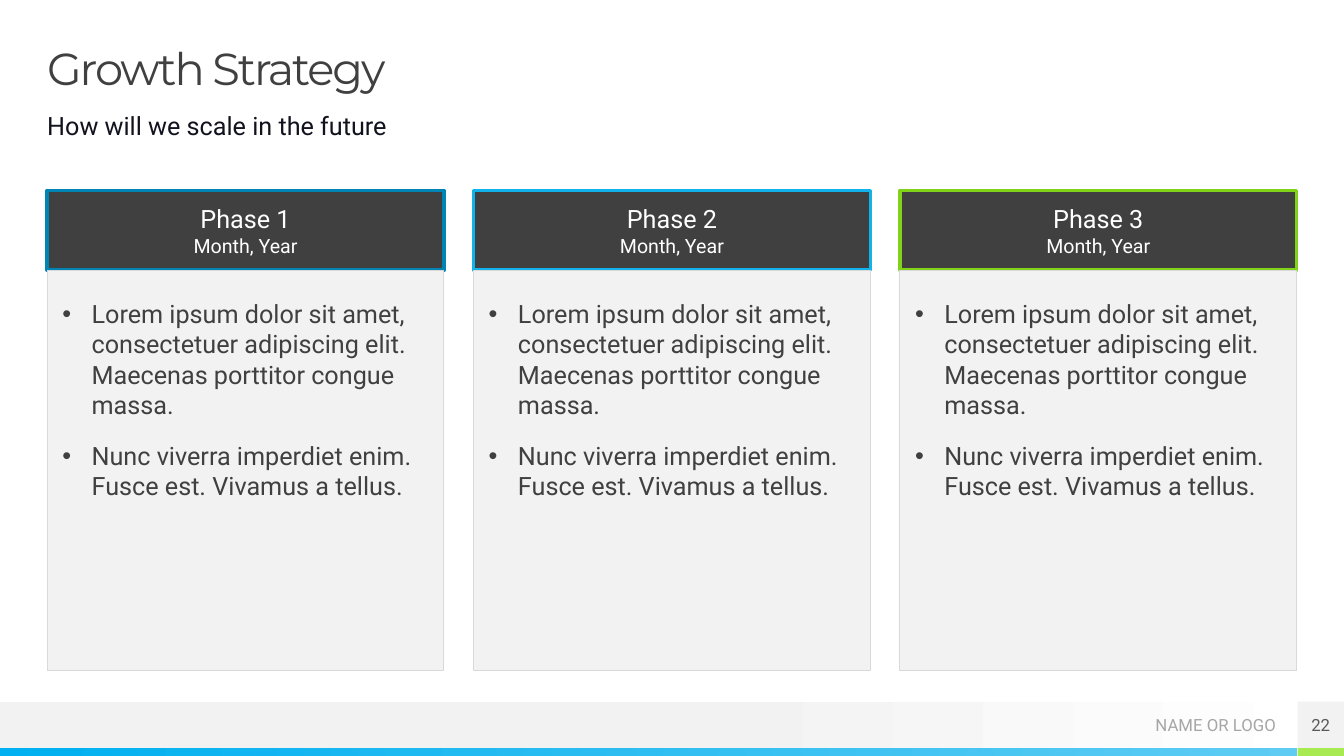
from lxml import etree
from pptx import Presentation
from pptx.dml.color import RGBColor
from pptx.enum.shapes import MSO_SHAPE
from pptx.enum.text import MSO_ANCHOR, MSO_AUTO_SIZE, PP_ALIGN
from pptx.oxml.ns import qn
from pptx.util import Cm, Pt

RECTANGLE = MSO_SHAPE.RECTANGLE
TOP, MIDDLE = MSO_ANCHOR.TOP, MSO_ANCHOR.MIDDLE
LEFT, CENTER, RIGHT = PP_ALIGN.LEFT, PP_ALIGN.CENTER, PP_ALIGN.RIGHT

# Lengths in centimetres
SLIDE_WIDTH, SLIDE_HEIGHT = 33.87, 19.05
MARGIN = 1.19
CONTENT_WIDTH = SLIDE_WIDTH - 2 * MARGIN
COLUMN_WIDTH = 10
HEADER_HEIGHT = 2.01
BULLET_INDENT = 0.74

DARK, PALE, WHITE = "404040", "F2F2F2", "FFFFFF"
PHASES = [("Phase 1", "0084B4"), ("Phase 2", "12B2EB"), ("Phase 3", "81D31A")]
PHASE_DATE = "Month, Year"
POINTS = [
    "Lorem ipsum dolor sit amet, consectetuer adipiscing elit. "
    "Maecenas porttitor congue massa.",
    "Nunc viverra imperdiet enim. Fusce est. Vivamus a tellus.",
]


def color(value):
    return RGBColor.from_string(value)


def add_run(paragraph, text, size=18, font="Roboto", fill=DARK):
    run = paragraph.add_run()
    run.text = text
    run.font.size = Pt(size)
    run.font.name = font
    run.font.color.rgb = color(fill)
    return run


def add_text(paragraph, text, align=LEFT, before=0, after=0, **run_format):
    paragraph.alignment = align
    paragraph.space_before = Pt(before)
    paragraph.space_after = Pt(after)
    return add_run(paragraph, text, **run_format)


def add_bullet(paragraph, indent):
    properties = paragraph._p.get_or_add_pPr()
    properties.set("marL", str(Cm(indent)))
    properties.set("indent", str(-Cm(indent)))
    bullet_color = etree.SubElement(properties, qn("a:buClr"))
    etree.SubElement(bullet_color, qn("a:srgbClr"), val=DARK)
    etree.SubElement(properties, qn("a:buFont"), typeface="Arial")
    etree.SubElement(properties, qn("a:buChar"), char="•")


def set_frame(shape, anchor=TOP, insets=(0, 0, 0, 0)):
    frame = shape.text_frame
    frame.word_wrap = True
    frame.auto_size = MSO_AUTO_SIZE.NONE
    frame.vertical_anchor = anchor
    (frame.margin_left, frame.margin_top,
     frame.margin_right, frame.margin_bottom) = map(Cm, insets)
    return frame


def add_box(slide, box, fill, line=None, line_width=0.75):
    shape = slide.shapes.add_shape(RECTANGLE, *map(Cm, box))
    shape.shadow.inherit = False
    if isinstance(fill, str):
        shape.fill.solid()
        shape.fill.fore_color.rgb = color(fill)
    else:
        shape.fill.gradient()
        shape.fill.gradient_angle = 0
        for stop, (position, value) in zip(shape.fill.gradient_stops, fill):
            stop.position = position
            stop.color.rgb = color(value)
    if line:
        shape.line.color.rgb = color(line)
        shape.line.width = Pt(line_width)
    else:
        shape.line.fill.background()
    return shape


def add_text_box(slide, box, anchor=TOP):
    return set_frame(slide.shapes.add_textbox(*map(Cm, box)), anchor)


def add_footer(slide, left, top, width, height):
    strip_height = 0.2
    band_height = height - strip_height
    number_left = left + width - band_height
    strip_top = top + band_height

    # Band and coloured strip
    add_box(slide, (left, top, width, band_height), [(0.53, PALE), (1, WHITE)])
    add_box(slide, (left, strip_top, width - band_height, strip_height),
            [(0, "00B0F0"), (1, "5ECCF3")])
    add_box(slide, (number_left, strip_top, band_height, strip_height), "A7EA52")

    # Name and slide number
    name_width = 5.69
    name = add_text_box(
        slide, (number_left - 0.54 - name_width, top, name_width, band_height), MIDDLE)
    add_text(name.paragraphs[0], "NAME OR LOGO", align=RIGHT, size=12, fill="A6A6A6")
    number = add_box(slide, (number_left, top, band_height, band_height), PALE)
    add_text(set_frame(number, MIDDLE).paragraphs[0], "22",
             align=CENTER, size=12, fill="595959")


def add_heading(slide, left, top, width):
    # Title
    title = slide.shapes.title
    title.left, title.top, title.width, title.height = map(Cm, (left, top, width, 1.19))
    paragraph = set_frame(title).paragraphs[0]
    paragraph.line_spacing = 0.9
    run = add_text(paragraph, "Growth Strategy", size=32, font="Montserrat")
    run.font._element.set("spc", "-150")

    # Subtitle
    subtitle = add_text_box(slide, (left, top + 1.6, width, 1))
    add_text(subtitle.paragraphs[0], "How will we scale in the future",
             before=10, after=5, fill="12121E")


def add_phase(slide, left, top, width, height, name, accent):
    # Header
    header = add_box(slide, (left, top, width, HEADER_HEIGHT), DARK, accent, 2.5)
    paragraph = set_frame(header, MIDDLE, (0.3, 0.1, 0.3, 0.1)).paragraphs[0]
    add_text(paragraph, name, align=CENTER, before=10, after=5, fill=WHITE)
    paragraph.add_line_break()
    add_run(paragraph, PHASE_DATE, size=14, fill=WHITE)

    # Bulleted panel
    panel = add_box(
        slide, (left, top + HEADER_HEIGHT, width, height - HEADER_HEIGHT), PALE, "D9D9D9")
    frame = set_frame(panel, TOP, (0.38, 0.71, 0.38, 0))
    for index, point in enumerate(POINTS):
        paragraph = frame.add_paragraph() if index else frame.paragraphs[0]
        add_text(paragraph, point, before=10, after=5)
        add_bullet(paragraph, BULLET_INDENT)


def add_phases(slide, left, top, width, height):
    step = (width - COLUMN_WIDTH) / (len(PHASES) - 1)
    for index, (name, accent) in enumerate(PHASES):
        add_phase(slide, left + index * step, top, COLUMN_WIDTH, height, name, accent)


def main():
    presentation = Presentation()
    presentation.slide_width = Cm(SLIDE_WIDTH)
    presentation.slide_height = Cm(SLIDE_HEIGHT)
    title_only = presentation.slide_layouts[5]
    slide = presentation.slides.add_slide(title_only)

    add_footer(slide, 0, 17.68, SLIDE_WIDTH, SLIDE_HEIGHT - 17.68)
    add_heading(slide, MARGIN, MARGIN, CONTENT_WIDTH)
    add_phases(slide, MARGIN, 4.8, CONTENT_WIDTH, 12.09)
    presentation.save("out.pptx")


if __name__ == "__main__":
    main()
